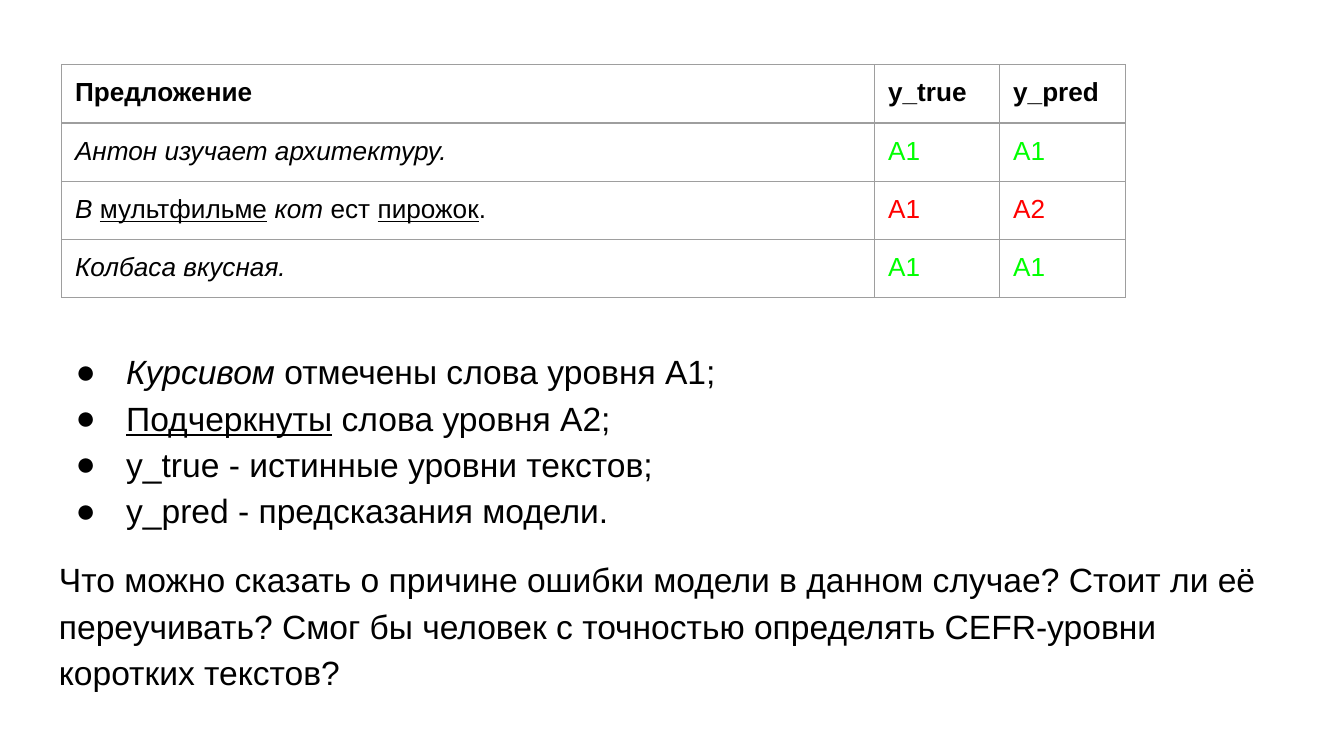
import pptx
import pptx.dml.color
import pptx.oxml
import pptx.oxml.ns
import pptx.util

Pt = pptx.util.Pt
FONT = "Arial"
INSET = Pt(7.2)
COLORS = {
    "background": "FFFFFF",
    "text": "000000",
    "border": "9E9E9E",
    "correct": "00FF00",
    "wrong": "FF0000",
}

# Each text is a list of (words, style); style letters: b bold, i italic, u underline
HEADER = ["Предложение", "y_true", "y_pred"]
EXAMPLES = [
    ([("Антон изучает архитектуру.", "i")], "А1", "А1"),
    ([("В ", "i"), ("мультфильме", "u"), (" ", ""), ("кот", "i"),
      (" ест ", ""), ("пирожок", "u"), (".", "")], "А1", "А2"),
    ([("Колбаса вкусная.", "i")], "А1", "А1"),
]
LEGEND = [
    [("Курсивом", "i"), (" отмечены слова уровня А1;", "")],
    [("Подчеркнуты", "u"), (" слова уровня А2;", "")],
    [("y_true - истинные уровни текстов;", "")],
    [("y_pred - предсказания модели.", "")],
]
QUESTION = [(
    "Что можно сказать о причине ошибки модели в данном случае? "
    "Стоит ли её переучивать? Смог бы человек с точностью определять "
    "CEFR-уровни коротких текстов?", "")]


def rgb(name):
    return pptx.dml.color.RGBColor.from_string(COLORS[name])


def add_runs(p, runs, size, color="text"):
    for words, style in runs:
        r = p.add_run()
        r.text = words
        r.font.name = FONT
        r.font.size = Pt(size)
        r.font.color.rgb = rgb(color)
        r.font.bold = "b" in style
        r.font.italic = "i" in style
        r.font.underline = "u" in style


def set_insets(obj):
    obj.margin_left = obj.margin_right = INSET
    obj.margin_top = obj.margin_bottom = INSET


def set_borders(cell):
    tc_pr = cell._tc.get_or_add_tcPr()
    for i, side in enumerate(("lnL", "lnR", "lnT", "lnB")):
        tc_pr.insert(i, pptx.oxml.parse_xml(
            f'<a:{side} {pptx.oxml.ns.nsdecls("a")} w="{Pt(0.75)}">'
            f'<a:solidFill><a:srgbClr val="{COLORS["border"]}"/></a:solidFill>'
            f'</a:{side}>'))


def fill_cell(cell, runs, color="text"):
    set_insets(cell)
    cell.fill.solid()
    cell.fill.fore_color.rgb = rgb("background")
    set_borders(cell)
    add_runs(cell.text_frame.paragraphs[0], runs, 14, color)


def add_examples_table(s):
    widths = [435.6, 67, 67.4]
    row_height = 30.24
    rows = len(EXAMPLES) + 1
    table = s.shapes.add_table(rows, len(widths), Pt(33), Pt(34.6),
                               Pt(sum(widths)), Pt(rows * row_height)).table
    for column, width in zip(table.columns, widths):
        column.width = Pt(width)
    for row in table.rows:
        row.height = Pt(row_height)

    for col, name in enumerate(HEADER):
        fill_cell(table.cell(0, col), [(name, "b")])
    for row, (sentence, true, pred) in enumerate(EXAMPLES, 1):
        fill_cell(table.cell(row, 0), sentence)
        color = "correct" if true == pred else "wrong"
        for col, level in enumerate((true, pred), 1):
            fill_cell(table.cell(row, col), [(level, "")], color)


def set_bullet(p):
    p_pr = p._p.get_or_add_pPr()
    p_pr.set("marL", str(Pt(36)))
    p_pr.set("indent", str(Pt(-27)))
    ns = pptx.oxml.ns.nsdecls("a")
    for xml in (f'<a:buClr {ns}><a:srgbClr val="{COLORS["text"]}"/></a:buClr>',
                f'<a:buFont {ns} typeface="{FONT}"/>',
                f'<a:buChar {ns} char="●"/>'):
        p_pr.append(pptx.oxml.parse_xml(xml))


def add_notes_text(s):
    """Add the bulleted legend and the question below it."""
    sp = s.shapes.add_textbox(Pt(24.5), Pt(177.8), Pt(671), Pt(203.8))
    tf = sp.text_frame
    tf.word_wrap = True
    set_insets(tf)
    for i, runs in enumerate(LEGEND + [QUESTION]):
        p = tf.add_paragraph() if i else tf.paragraphs[0]
        p.line_spacing = 1.15
        if runs is QUESTION:
            p.space_before = p.space_after = Pt(12)
        else:
            p.space_before = p.space_after = Pt(0)
            set_bullet(p)
        add_runs(p, runs, 18)


def main():
    prs = pptx.Presentation()
    prs.slide_width = Pt(720)
    prs.slide_height = Pt(405)
    s = prs.slides.add_slide(prs.slide_layouts[6])
    s.background.fill.solid()
    s.background.fill.fore_color.rgb = rgb("background")
    add_notes_text(s)
    add_examples_table(s)
    prs.save("out.pptx")


if __name__ == "__main__":
    main()
